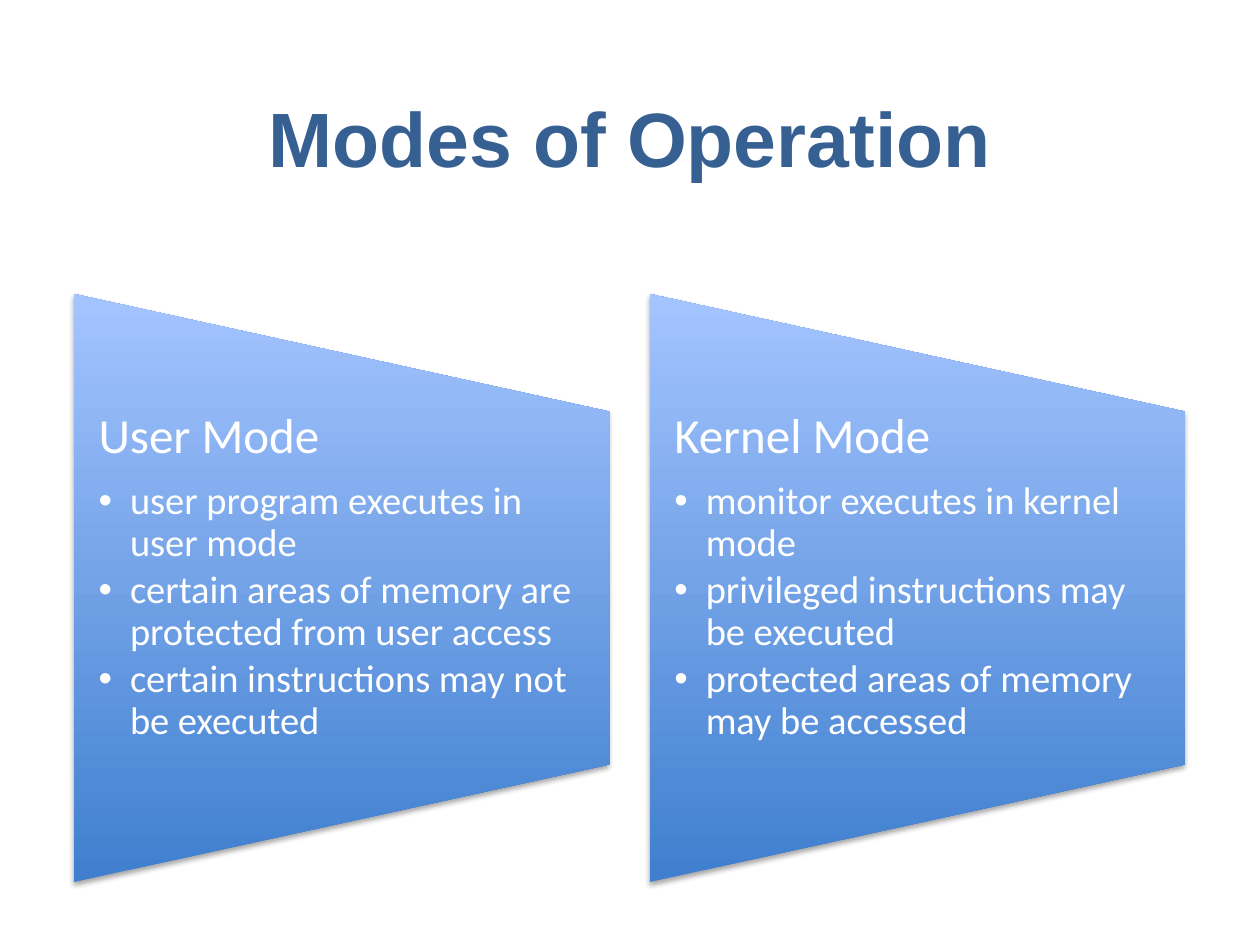
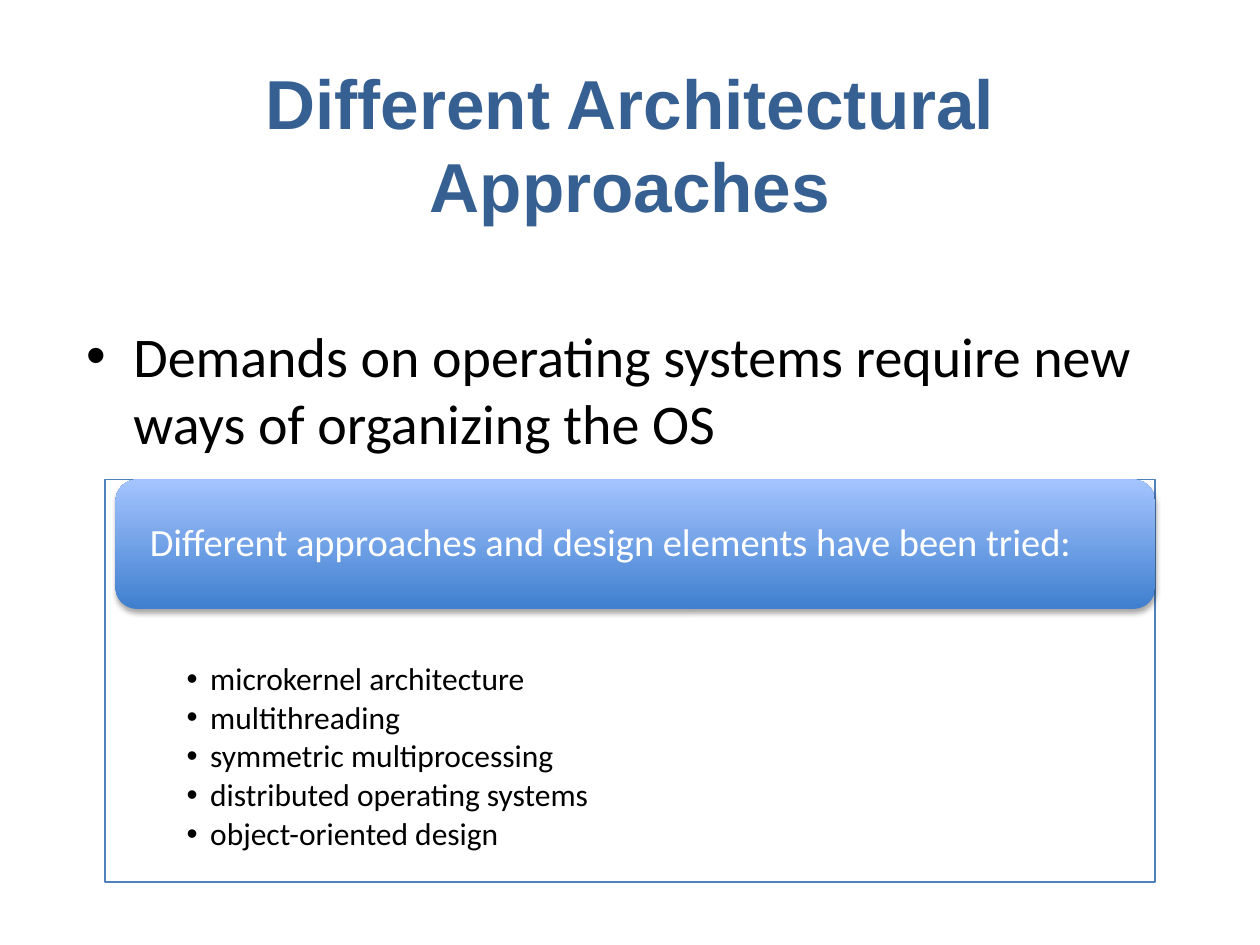
from lxml.etree import SubElement
from pptx import Presentation
from pptx.dml.color import RGBColor
from pptx.enum.shapes import MSO_SHAPE
from pptx.enum.text import MSO_ANCHOR, MSO_AUTO_SIZE, PP_ALIGN
from pptx.oxml.ns import qn
from pptx.util import Pt

MODES = [
    ("User Mode", ["user program executes in user mode",
                   "certain areas of memory are protected from user access",
                   "certain instructions may not be executed"]),
    ("Kernel Mode", ["monitor executes in kernel mode",
                     "privileged instructions may be executed",
                     "protected areas of memory may be accessed"]),
]
DEMAND = "Demands on operating systems require new ways of organizing the OS"
TRIED = "Different approaches and design elements have been tried:"
IDEAS = ["microkernel architecture", "multithreading",
         "symmetric multiprocessing", "distributed operating systems",
         "object-oriented design"]

NAVY, BLUE, DEEP, PALE = "376092", "4F81BD", "3F7FCE", "A4C4FF"
WHITE, BLACK = "FFFFFF", "000000"


def color(code):
    return RGBColor.from_string(code)


def place(shape, left, top, width, height):
    shape.left, shape.top = Pt(left), Pt(top)
    shape.width, shape.height = Pt(width), Pt(height)


def setup(frame, inset=(7.2, 3.6, 7.2, 3.6), anchor=MSO_ANCHOR.TOP):
    """Set wrapping, anchor and insets (left, top, right, bottom)."""
    frame.word_wrap = True
    frame.auto_size = MSO_AUTO_SIZE.NONE
    frame.vertical_anchor = anchor
    (frame.margin_left, frame.margin_top,
     frame.margin_right, frame.margin_bottom) = map(Pt, inset)


def write(frame, text, size, ink, font="Calibri", bold=False,
          align=PP_ALIGN.LEFT, line=0.9, after=0, indent=0):
    """Fill the empty first paragraph or add one; an indent gives a bullet."""
    para = frame.paragraphs[0]
    if para.runs:
        para = frame.add_paragraph()
    para.alignment, para.line_spacing = align, line
    para.space_before, para.space_after = Pt(0), Pt(after)
    if indent:
        props = para._p.get_or_add_pPr()
        props.set("marL", str(Pt(indent)))
        props.set("indent", str(-Pt(indent)))
        SubElement(props, qn("a:buFont"), typeface="Arial")
        SubElement(props, qn("a:buChar"), char="•")
    run = para.add_run()
    run.text = text
    run.font.name, run.font.size, run.font.bold = font, Pt(size), bold
    run.font.color.rgb = color(ink)


def bullets(frame, items, size, ink, indent):
    for item in items:
        write(frame, item, size, ink, after=0.15 * size, indent=indent)


def title(slide, text, size, box):
    shape = slide.shapes.title
    place(shape, *box)
    setup(shape.text_frame, anchor=MSO_ANCHOR.MIDDLE)
    write(shape.text_frame, text, size, NAVY, font="Arial", bold=True,
          align=PP_ALIGN.CENTER, line=1.0)


def glossy(slide, kind, box):
    """Add a shape shaded from pale top to deep bottom, with a soft shadow."""
    shape = slide.shapes.add_shape(kind, *map(Pt, box))
    shape.line.fill.background()
    fill = shape.fill
    fill.gradient()
    fill.gradient_angle = 90
    for stop, code in zip(fill.gradient_stops, (DEEP, PALE)):
        stop.color.rgb = color(code)
    shape.shadow.inherit = False
    props = shape.element.spPr
    props.find(qn("a:gradFill")).set("rotWithShape", "0")
    shade = SubElement(props.find(qn("a:effectLst")), qn("a:outerShdw"),
                       blurRad=str(Pt(3.1)), dist=str(Pt(1.8)),
                       dir="5400000", rotWithShape="0")
    tone = SubElement(shade, qn("a:srgbClr"), val=BLACK)
    SubElement(tone, qn("a:alpha"), val="35000")
    return shape


def modes(deck):
    slide = deck.slides.add_slide(deck.slide_layouts[5])
    title(slide, "Modes of Operation", 44, (52, 36, 616, 84))
    left, top, wide, high, pitch = 42.3, 168, 306, 336, 329
    turn = (high - wide) / 2
    for i, (name, facts) in enumerate(MODES):
        x = left + i * pitch
        panel = glossy(slide, MSO_SHAPE.FLOWCHART_MANUAL_OPERATION,
                       (x - turn, top + turn, high, wide))
        panel.rotation = 270
        box = slide.shapes.add_textbox(
            *map(Pt, (x, top + high / 5, wide, high * 3 / 5)))
        frame = box.text_frame
        setup(frame, (14, 0, 14, 0))
        write(frame, name, 28, WHITE, after=9.8)
        bullets(frame, facts, 22, WHITE, 18)


def designs(deck):
    slide = deck.slides.add_slide(deck.slide_layouts[1])
    title(slide, "Different Architectural Approaches", 39.6,
          (36, 37, 648, 90))
    body = slide.placeholders[1]
    place(body, 42, 180, 630, 312)
    setup(body.text_frame)
    write(body.text_frame, DEMAND, 32, BLACK, line=1.0, indent=27)

    left, top, wide, high, gap = 60, 274, 600, 230, 6
    panel = slide.shapes.add_shape(MSO_SHAPE.RECTANGLE,
                                   *map(Pt, (left, top, wide, high)))
    panel.shadow.inherit = False
    panel.fill.solid()
    panel.fill.fore_color.rgb = color(WHITE)
    tone = panel.element.spPr.find(qn("a:solidFill")).find(qn("a:srgbClr"))
    SubElement(tone, qn("a:alpha"), val="90000")
    panel.line.color.rgb = color(BLUE)
    panel.line.width = Pt(0.75)
    setup(panel.text_frame, (46.6, 105, 46.6, 10))
    bullets(panel.text_frame, IDEAS, 18, BLACK, 13.5)

    head = glossy(slide, MSO_SHAPE.ROUNDED_RECTANGLE,
                  (left + gap, top, wide - gap, 74))
    setup(head.text_frame, (16, 0, 16, 0), MSO_ANCHOR.MIDDLE)
    write(head.text_frame, TRIED, 22, WHITE)


def main():
    deck = Presentation()
    deck.slide_width, deck.slide_height = Pt(720), Pt(540)
    modes(deck)
    designs(deck)
    deck.save("out.pptx")


if __name__ == "__main__":
    main()
